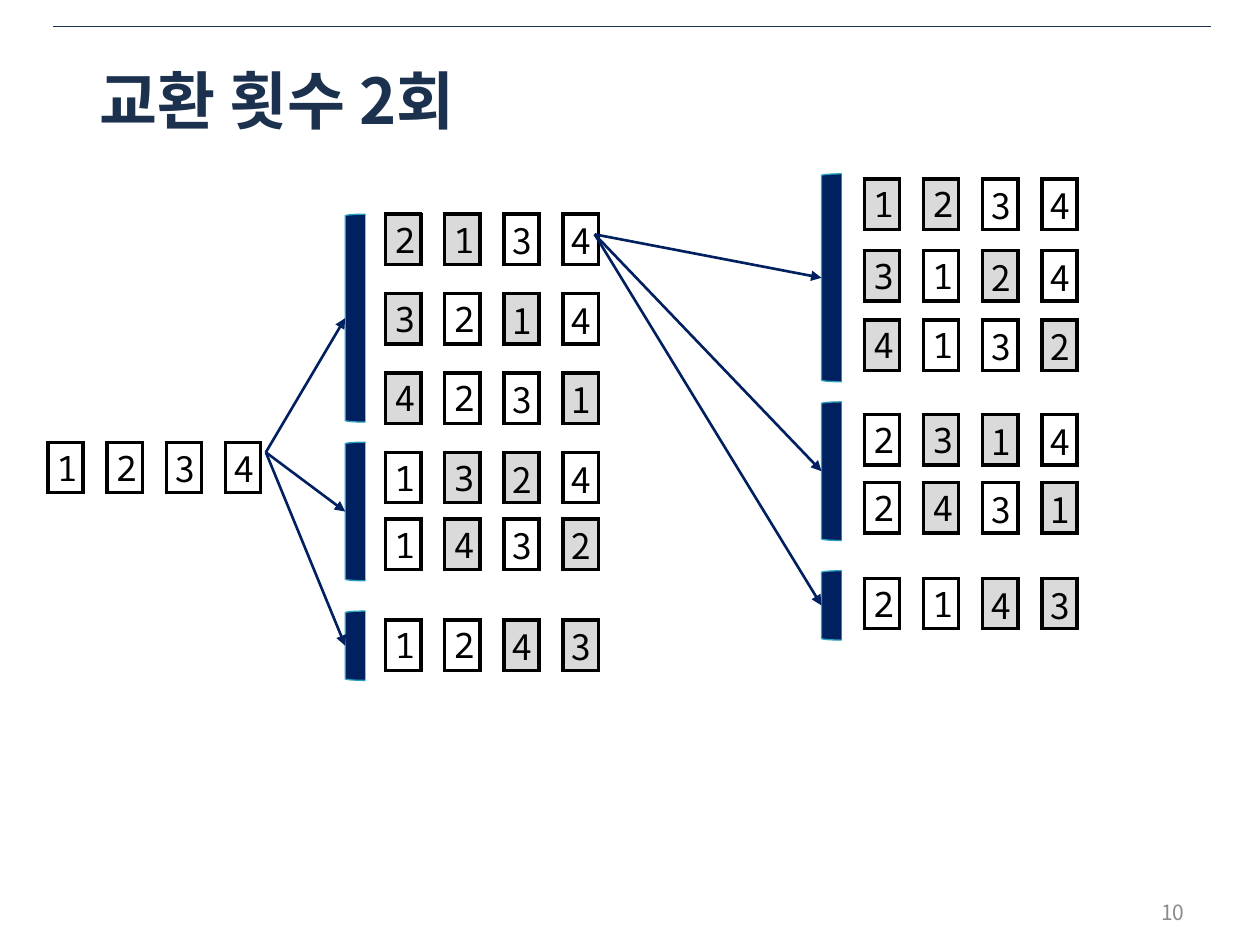
from lxml import etree
from pptx import Presentation
from pptx.dml.color import RGBColor
from pptx.enum.shapes import MSO_CONNECTOR, MSO_SHAPE
from pptx.enum.text import MSO_ANCHOR, PP_ALIGN
from pptx.oxml.ns import qn
from pptx.util import Inches, Pt

LEFT, MID, RIGHT = PP_ALIGN.LEFT, PP_ALIGN.CENTER, PP_ALIGN.RIGHT
ANCHOR = MSO_ANCHOR.MIDDLE
LINE = MSO_CONNECTOR.STRAIGHT
BRACE = MSO_SHAPE.LEFT_BRACKET
SANS, MONO = "Noto Sans CJK KR", "Noto Sans Mono"
INK, NAVY, TEAL, GRAY = "1C314E", "002060", "28A1BE", "DADADA"
WIDE, HIGH = Inches(10), Inches(7.5)
COLS, ROWS = 1000, 750
BOX, GAP, ROW = 28, 19, 40

SPANS = [(0, 165), (181, 110), (315, 55)]
FIRST = [
    (170, "2134", "21"), (233, "3214", "31"), (296, "4231", "41"),
    (359, "1324", "32"), (412, "1432", "42"), (492, "1243", "43"),
]
SECOND = [
    (142, "1234", "12"), (199, "3124", "32"), (254, "4132", "42"),
    (329, "2314", "31"), (383, "2431", "41"), (459, "2143", "43"),
]


def across(n):
    return round(WIDE * n / COLS)


def down(n):
    return round(HIGH * n / ROWS)


def place(x, y, w, h):
    return across(x), down(y), across(w), down(h)


def color(code):
    return RGBColor.from_string(code)


def write(frame, text, size=20, font=SANS, ink="000000", bold=False, align=LEFT):
    para = frame.paragraphs[0]
    para.alignment = align
    run = para.add_run()
    run.text = text
    face = run.font
    face.size, face.name, face.bold = Pt(size), font, bold
    face.color.rgb = color(ink)
    east = etree.SubElement(face._element, qn("a:ea"))
    east.set("typeface", font)


def label(slide, area, text, **look):
    frame = slide.shapes.add_textbox(*place(*area)).text_frame
    frame.word_wrap = True
    frame.vertical_anchor = ANCHOR
    write(frame, text, **look)


def edge(cell, side, show):
    line = etree.SubElement(cell._tc.get_or_add_tcPr(), qn("a:ln" + side))
    line.set("w", str(Pt(2.25)))
    if show:
        fill = etree.SubElement(line, qn("a:solidFill"))
        etree.SubElement(fill, qn("a:srgbClr")).set("val", "000000")
    else:
        etree.SubElement(line, qn("a:noFill"))


def strip(slide, x, y, digits, swap=""):
    count = 2 * len(digits) - 1
    width = len(digits) * BOX + (len(digits) - 1) * GAP
    table = slide.shapes.add_table(1, count, *place(x, y, width, ROW)).table
    table.first_row = table.horz_banding = False
    for i in range(count):
        cell = table.cell(0, i)
        full = i % 2 == 0
        table.columns[i].width = across(BOX if full else GAP)
        cell.margin_left = cell.margin_right = across(7)
        cell.margin_top = cell.margin_bottom = 0
        cell.vertical_anchor = ANCHOR
        for side in "LRTB":
            edge(cell, side, full or side in "LR")
        cell.fill.background()
        if full:
            digit = digits[i // 2]
            if digit in swap:
                cell.fill.solid()
                cell.fill.fore_color.rgb = color(GRAY)
            write(cell.text_frame, digit, font=MONO if i < 4 else SANS, align=MID)


def brace(slide, x, y, w, h):
    shape = slide.shapes.add_shape(BRACE, *place(x, y, w, h))
    shape.shadow.inherit = False
    shape.fill.solid()
    shape.fill.fore_color.rgb = color(NAVY)
    shape.line.color.rgb = color(TEAL)
    shape.line.width = Pt(0.75)


def rule(slide, start, end, ink=NAVY, width=1.5, arrow=True):
    link = slide.shapes.add_connector(LINE, *place(*start, *end))
    link.line.color.rgb = color(ink)
    link.line.width = Pt(width)
    if arrow:
        tail = etree.SubElement(link.line._get_or_add_ln(), qn("a:tailEnd"))
        tail.set("type", "triangle")
    etree.SubElement(link._element.spPr, qn("a:effectLst"))


def branch(slide, start, x, y, left, strips):
    for step, size in SPANS:
        brace(slide, x, y + step, 16, size)
        rule(slide, start, (x, y + step + size / 2))
    for top, digits, swap in strips:
        strip(slide, left, top, digits, swap)


def main():
    deck = Presentation()
    deck.slide_width, deck.slide_height = WIDE, HIGH
    slide = deck.slides.add_slide(deck.slide_layouts[6])
    rule(slide, (42, 21), (961, 21), ink=INK, width=0.25, arrow=False)
    label(slide, (717, 704, 233, 40), "10", size=12, ink="8C8C8C", align=RIGHT)
    label(slide, (69, 40, 862, 78), "교환 횟수 2회", size=36, ink=INK, bold=True)
    strip(slide, 38, 351, "1234")
    branch(slide, (211, 359), 274, 170, 306, FIRST)
    branch(slide, (472, 186), 652, 138, 686, SECOND)
    deck.save("out.pptx")


if __name__ == "__main__":
    main()
